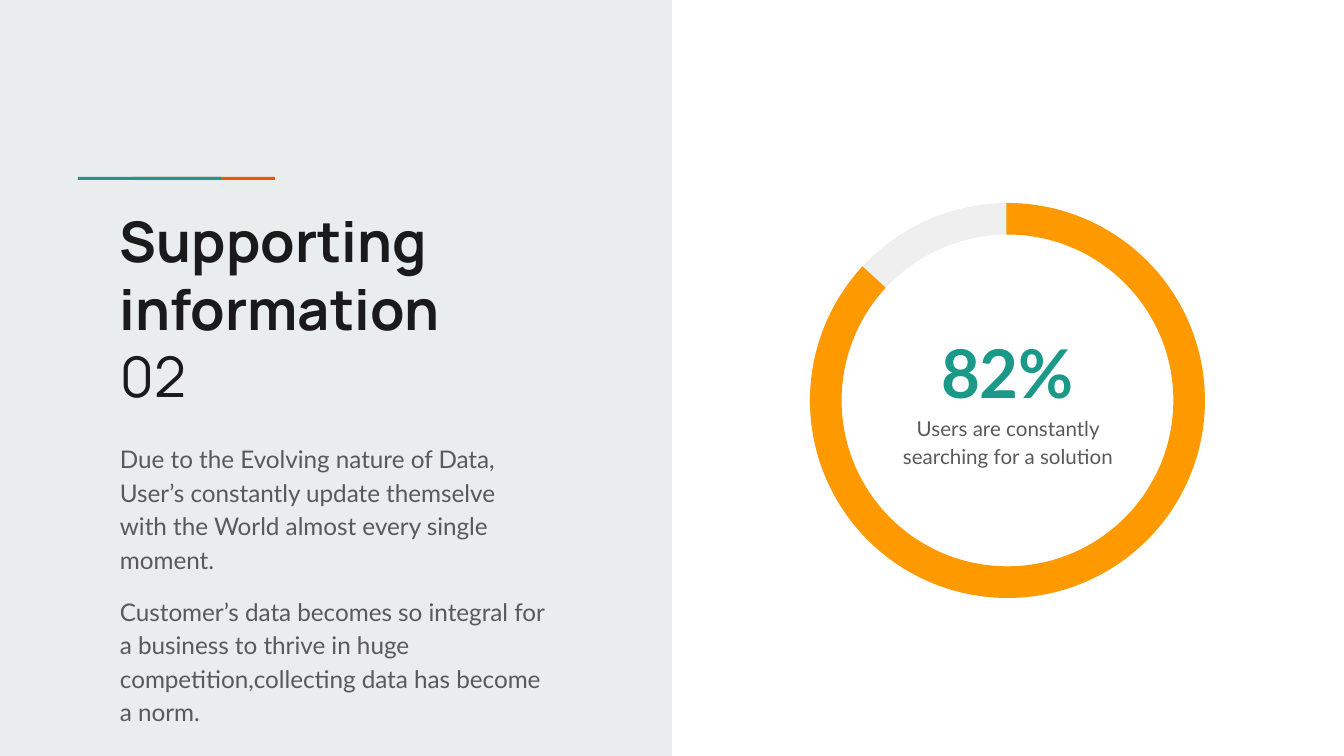
from pptx import Presentation
from pptx.dml.color import RGBColor
from pptx.enum.shapes import MSO_SHAPE as Preset
from pptx.enum.text import MSO_ANCHOR as Anchor, PP_ALIGN as Align
from pptx.util import Pt

SCALE = 914400 / 134.4  # EMU per px
COLORS = {
    "panel": "E9EDEE",
    "teal": "1A9988",
    "rust": "EB5600",
    "orange": "FF9900",
    "track": "EFEFEF",
    "ink": "1A1A1A",
    "gray": "595959",
}
RING = (810, 203, 395, 395)
RING_THICKNESS = 0.08
BODY_SPACING = 1.15


def px(length):
    return round(length * SCALE)


def color(name):
    return RGBColor.from_string(COLORS[name])


def set_all(target, values):
    for name, value in values.items():
        setattr(target, name, value)


def add_block(page, preset, frame, fill):
    """Add a filled preset shape without line or shadow."""
    shape = page.shapes.add_shape(preset, *map(px, frame))
    shape.shadow.inherit = False
    shape.fill.solid()
    shape.fill.fore_color.rgb = color(fill)
    shape.line.fill.background()
    return shape


def add_arc(page, fill, start, end, rotation=0):
    """Add a ring segment; start and end are in adjustment units."""
    arc = add_block(page, Preset.BLOCK_ARC, RING, fill)
    for index, value in enumerate((start, end, RING_THICKNESS)):
        arc.adjustments[index] = value
    arc.rotation = rotation


def add_text(page, frame, paragraphs, ink, font):
    """Add a text box from (text, paragraph format, font changes) items."""
    box = page.shapes.add_textbox(*map(px, frame))
    text = box.text_frame
    margins = {f"margin_{side}": px(13) for side in ("left", "top", "right", "bottom")}
    set_all(text, {"word_wrap": True, "vertical_anchor": Anchor.TOP, **margins})
    for index, (words, layout, changes) in enumerate(paragraphs):
        para = text.add_paragraph() if index else text.paragraphs[0]
        set_all(para, layout)
        span = para.add_run()
        span.text = words
        set_all(span.font, {**font, **changes})
        span.font.color.rgb = color(ink)


def add_panel(page):
    add_block(page, Preset.RECTANGLE, (0, 0, 672, 756), "panel")
    for left, fill in ((132, "rust"), (78, "teal")):
        add_block(page, Preset.RECTANGLE, (left, 177, 143, 3), fill)


def add_story(page):
    add_text(
        page, (107, 194, 485, 249),
        [("Supporting information", {}, {"bold": True}), ("02", {}, {"bold": False})],
        "ink", {"name": "Manrope", "size": Pt(30)},
    )
    body = {"line_spacing": BODY_SPACING}
    spaced = {**body, "space_before": Pt(10), "space_after": Pt(10)}
    add_text(
        page, (107, 427, 452, 285),
        [
            ("Due to the Evolving nature of Data, User’s constantly update themselve "
             "with the World almost every single moment.", body, {}),
            ("Customer’s data becomes so integral for a business to thrive in huge "
             "competition,collecting data has become a norm.", spaced, {}),
        ],
        "gray", {"name": "Lato", "size": Pt(13)},
    )


def add_gauge(page):
    centered = {"alignment": Align.CENTER, "line_spacing": BODY_SPACING}
    add_arc(page, "track", 26.28, 58.81, rotation=176.5)
    add_text(
        page, (887, 306, 241, 94), [("82%", centered, {})],
        "teal", {"name": "Lato", "size": Pt(36), "bold": True},
    )
    add_arc(page, "orange", 161.79, 133.67)
    add_text(
        page, (864, 399, 288, 112),
        [("Users are constantly searching for a solution",
          {**centered, "space_after": Pt(16)}, {})],
        "gray", {"name": "Lato", "size": Pt(11)},
    )


def main():
    deck = Presentation()
    set_all(deck, {"slide_width": px(1344), "slide_height": px(756)})
    page = deck.slides.add_slide(deck.slide_layouts[6])
    add_panel(page)
    add_story(page)
    add_gauge(page)
    deck.save("out.pptx")


if __name__ == "__main__":
    main()
